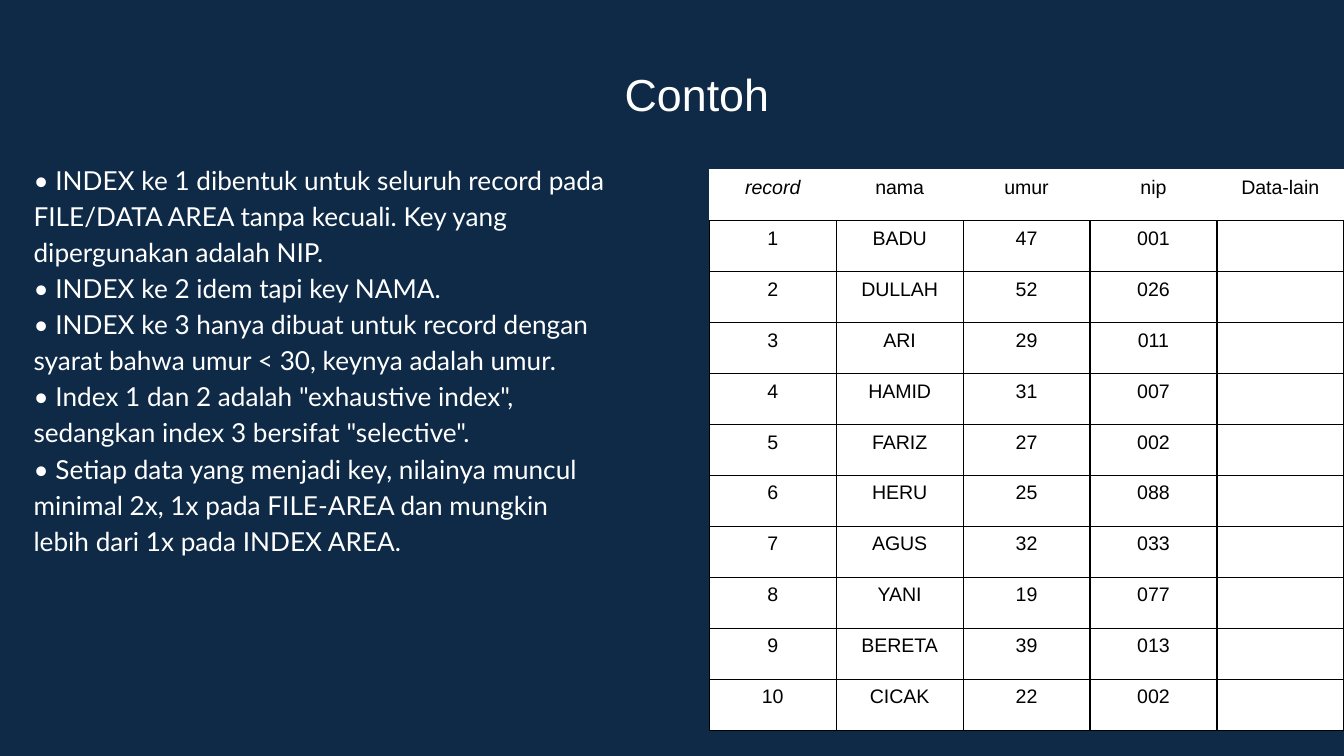
from dataclasses import dataclass
from typing import Any

import lxml.etree
import pptx
import pptx.dml.color
import pptx.enum.text
import pptx.oxml.ns
import pptx.util

Pt = pptx.util.Pt
RGB = pptx.dml.color.RGBColor
ALIGN = pptx.enum.text.PP_ALIGN
ANCHOR = pptx.enum.text.MSO_ANCHOR


@dataclass(frozen=True)
class Theme:
    back: str = "0E2A47"
    white: str = "FFFFFF"
    black: str = "000000"
    head: str = "Arial"
    body: str = "Lato"
    title: float = 24
    text: float = 14
    cell: float = 10.5


@dataclass(frozen=True)
class Box:
    left: float
    top: float
    width: float
    height: float


@dataclass(frozen=True)
class Row:
    record: str
    name: str
    age: str
    nip: str
    other: str = ""

    def texts(self) -> list[str]:
        return [self.record, self.name, self.age, self.nip, self.other]


THEME = Theme()
TITLE = Box(95.8, 26.6, 555, 38.2)
LIST = Box(10.8, 78.5, 340, 215.3)
GRID = Box(380, 91, 340, 300.3)

LINES = [
    "• INDEX ke 1 dibentuk untuk seluruh record pada FILE/DATA AREA tanpa kecuali. Key yang",
    "dipergunakan adalah NIP.",
    "• INDEX ke 2 idem tapi key NAMA.",
    "• INDEX ke 3 hanya dibuat untuk record dengan syarat bahwa umur < 30, keynya adalah umur.",
    '• Index 1 dan 2 adalah "exhaustive index", sedangkan index 3 bersifat "selective".',
    "• Setiap data yang menjadi key, nilainya muncul minimal 2x, 1x pada FILE-AREA dan mungkin",
    "lebih dari 1x pada INDEX AREA.",
]

ROWS = [
    Row("record", "nama", "umur", "nip", "Data-lain"),
    Row("1", "BADU", "47", "001"),
    Row("2", "DULLAH", "52", "026"),
    Row("3", "ARI", "29", "011"),
    Row("4", "HAMID", "31", "007"),
    Row("5", "FARIZ", "27", "002"),
    Row("6", "HERU", "25", "088"),
    Row("7", "AGUS", "32", "033"),
    Row("8", "YANI", "19", "077"),
    Row("9", "BERETA", "39", "013"),
    Row("10", "CICAK", "22", "002"),
]


def set_font(par: Any, face: str, size: float, color: str) -> None:
    par.font.name = face
    par.font.size = Pt(size)
    par.font.color.rgb = RGB.from_string(color)


def add_tag(parent: Any, tag: str, **attrs: str) -> Any:
    return lxml.etree.SubElement(parent, pptx.oxml.ns.qn(tag), attrs)


def place(shape: Any, box: Box, inset: float) -> Any:
    """Move a placeholder and return its text frame."""
    shape.left, shape.top = Pt(box.left), Pt(box.top)
    shape.width, shape.height = Pt(box.width), Pt(box.height)
    frame = shape.text_frame
    frame.word_wrap = True
    frame.auto_size = pptx.enum.text.MSO_AUTO_SIZE.NONE
    frame.vertical_anchor = ANCHOR.TOP
    frame.margin_left = frame.margin_right = Pt(7.2)
    frame.margin_top = frame.margin_bottom = Pt(inset)
    return frame


def draw_title(shape: Any) -> None:
    frame = place(shape, TITLE, 9)
    frame.text = "Contoh"
    par = frame.paragraphs[0]
    par.alignment = ALIGN.CENTER
    set_font(par, THEME.head, THEME.title, THEME.white)


def draw_list(shape: Any) -> None:
    frame = place(shape, LIST, 7.2)
    frame.text = "\n".join(LINES)
    for par in frame.paragraphs:
        par.line_spacing = 1.15
        par.space_before = par.space_after = Pt(0)
        # Wrapped lines start flush with the typed bullet marks
        props = par._p.get_or_add_pPr()
        props.set("marL", "0")
        props.set("indent", "0")
        add_tag(props, "a:buNone")
        set_font(par, THEME.body, THEME.text, THEME.white)


def draw_edge(cell: Any, side: str, color: str, width: float) -> None:
    line = add_tag(cell._tc.get_or_add_tcPr(), f"a:ln{side}", w=str(Pt(width)))
    fill = add_tag(line, "a:solidFill")
    add_tag(fill, "a:srgbClr", val=color)


def draw_cell(cell: Any, text: str, header: bool) -> None:
    for side in "LRTB":
        if header and side != "B":
            draw_edge(cell, side, THEME.white, 1)
        else:
            draw_edge(cell, side, THEME.black, 0.75)
    cell.fill.solid()
    cell.fill.fore_color.rgb = RGB.from_string(THEME.white)
    cell.margin_left = cell.margin_right = Pt(7.2)
    cell.margin_top = cell.margin_bottom = Pt(3.6)
    cell.text = text
    par = cell.text_frame.paragraphs[0]
    par.alignment = ALIGN.CENTER
    set_font(par, THEME.head, THEME.cell, THEME.black)
    if text == "record":
        par.font.italic = True


def draw_table(slide: Any) -> None:
    count = len(ROWS[0].texts())
    table = slide.shapes.add_table(
        len(ROWS), count, Pt(GRID.left), Pt(GRID.top), Pt(GRID.width), Pt(GRID.height)
    ).table
    table.first_row = table.horz_banding = False
    for col in table.columns:
        col.width = Pt(GRID.width / count)
    for i, row in enumerate(ROWS):
        table.rows[i].height = Pt(GRID.height / len(ROWS))
        for j, text in enumerate(row.texts()):
            draw_cell(table.cell(i, j), text, header=i == 0)


def main() -> None:
    deck = pptx.Presentation()
    deck.slide_width, deck.slide_height = Pt(720), Pt(405)
    slide = deck.slides.add_slide(deck.slide_layouts[1])
    # Background
    fill = slide.background.fill
    fill.solid()
    fill.fore_color.rgb = RGB.from_string(THEME.back)
    # Title, list on the left, record table on the right
    draw_title(slide.shapes.title)
    draw_list(slide.placeholders[1])
    draw_table(slide)
    deck.save("out.pptx")


if __name__ == "__main__":
    main()
